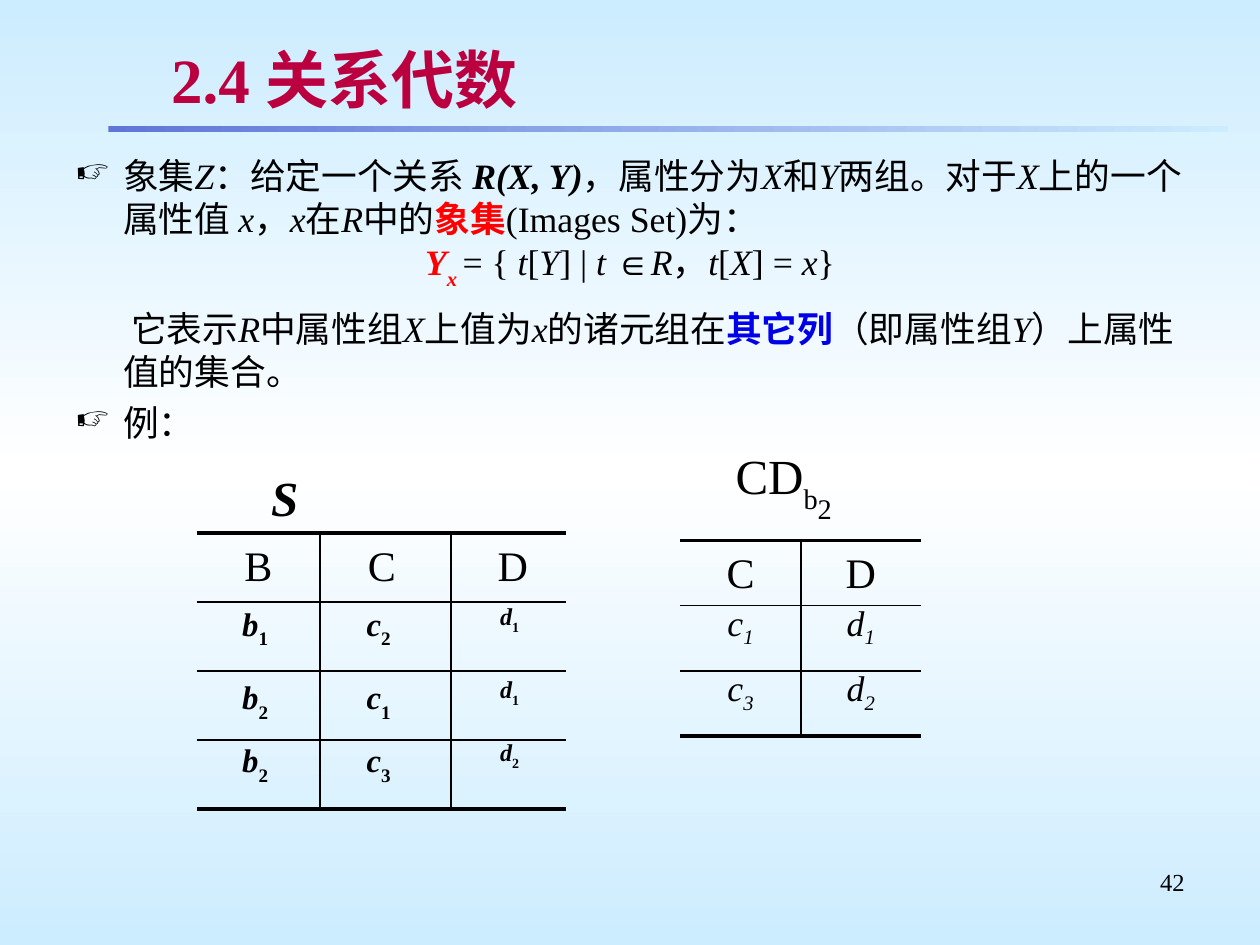
from collections import namedtuple
from itertools import accumulate

from lxml.etree import SubElement
from pptx import Presentation
from pptx.dml.color import RGBColor
from pptx.enum.shapes import MSO_CONNECTOR, MSO_SHAPE
from pptx.enum.text import MSO_ANCHOR, PP_ALIGN
from pptx.oxml.ns import qn
from pptx.util import Inches, Pt

COLORS = {
    "ink": "000000", "title": "BA003E", "red": "FF0000", "blue": "0000E8",
    "sky": "CCECFF", "white": "FFFFFF", "rule": "5F76D7", "shade": "808080",
}
SERIF, SANS = "Times New Roman", "Arial"
CENTER, RIGHT = PP_ALIGN.CENTER, PP_ALIGN.RIGHT

# The slide is a grid of 100 columns by 75 rows
SLIDE_W, SLIDE_H = Inches(10), Inches(7.5)
UNIT = SLIDE_W // 100
Box = namedtuple("Box", "x y w h")


def emu(*cells):
    return [round(cell * UNIT) for cell in cells]


def paint_gradient(fill, element, stops, angle):
    fill.gradient()
    fill.gradient_angle = angle
    stop_list = element.find(".//" + qn("a:gsLst"))
    for old in list(stop_list):
        stop_list.remove(old)
    for position, color in stops:
        stop = SubElement(stop_list, qn("a:gs"), pos=str(position * 1000))
        SubElement(stop, qn("a:srgbClr"), val=COLORS[color])


def add_spans(para, spans, size, color="ink"):
    """Spans are (text, marks, baseline, color); marks: b bold, i italic, s sans."""
    for text, marks, base, tint in spans:
        span = para.add_run()
        span.text = text
        font = span.font
        font.size, font.name = Pt(size), SANS if "s" in marks else SERIF
        font.bold, font.italic = "b" in marks, "i" in marks
        font.color.rgb = RGBColor.from_string(COLORS[tint or color])
        if base:
            span._r.get_or_add_rPr().set("baseline", str(base * 1000))


def mark(text, marks="", base=0, color=None):
    return text, marks, base, color


def add_text(page, box, spans, size, color="ink", align=None, anchor=MSO_ANCHOR.TOP,
             wrap=True, spacing=None):
    shape = page.shapes.add_textbox(*emu(*box))
    frame = shape.text_frame
    frame.word_wrap, frame.vertical_anchor = wrap, anchor
    para = frame.paragraphs[0]
    para.alignment = align
    if spacing:
        para.line_spacing = spacing
    add_spans(para, spans, size, color)
    return frame


def add_rule(page, x1, y1, x2, y2, width):
    line = page.shapes.add_connector(MSO_CONNECTOR.STRAIGHT, *emu(x1, y1, x2, y2))
    line.line.width = Pt(width)
    line.line.color.rgb = RGBColor.from_string(COLORS["ink"])
    SubElement(line._element.spPr, qn("a:effectLst"))


def title_region(page, box):
    # Rule below the title
    bar = page.shapes.add_shape(MSO_SHAPE.RECTANGLE, *emu(box.x - 4, 10, 88.9, 0.5))
    bar.shadow.inherit = False
    bar.line.fill.background()
    paint_gradient(bar.fill, bar._element, [(0, "rule"), (100, "sky")], 0)
    # Title with a soft text shadow
    frame = add_text(page, box, [mark("2.4 关系代数", "b")], 36, "title",
                     anchor=MSO_ANCHOR.MIDDLE)
    props = frame.paragraphs[0].runs[0]._r.get_or_add_rPr()
    effects = SubElement(props, qn("a:effectLst"))
    props.find(qn("a:solidFill")).addnext(effects)
    shadow = SubElement(effects, qn("a:outerShdw"), dist="25400", dir="2700000")
    tint = SubElement(shadow, qn("a:srgbClr"), val=COLORS["shade"])
    SubElement(tint, qn("a:alpha"), val="50000")


def add_bullet(props):
    color = SubElement(props, qn("a:buClr"))
    SubElement(color, qn("a:srgbClr"), val=COLORS["ink"])
    SubElement(props, qn("a:buSzPct"), val="95000")
    SubElement(props, qn("a:buChar"), char="☞")


def definition_region(page, box):
    italic = {name: mark(name, "i") for name in ("Z", "X", "Y", "R", "x", "t")}
    definition = [
        mark("象集"), italic["Z"], mark("：给定一个关系 "), mark("R(X, Y)", "bi"),
        mark("，属性分为"), italic["X"], mark("和"), italic["Y"], mark("两组。对于"),
        italic["X"], mark("上的一个属性值 "), italic["x"], mark("，"), italic["x"],
        mark("在"), italic["R"], mark("中的"), mark("象集", "b", color="red"),
        mark("(Images Set)为："),
    ]
    formula = [
        mark("Y", "bi", color="red"), mark("x ", "bi", -30, "red"), mark("= { "),
        italic["t"], mark("["), italic["Y"], mark("] | "), mark("t ", "i"),
        mark("∈", "s"), italic["R"], mark("，"), italic["t"], mark("["),
        italic["X"], mark("] = "), italic["x"], mark("}"),
    ]
    meaning = [
        mark("\t 它表示"), italic["R"], mark("中属性组"), italic["X"], mark("上值为"),
        italic["x"], mark("的诸元组在"), mark("其它列", "b", color="blue"),
        mark("（即属性组"), italic["Y"], mark("）上属性值的集合。"),
    ]
    # (spans, bulleted, alignment, space after)
    paragraphs = [(definition, True, None, 0), (formula, False, CENTER, 4.5),
                  (meaning, False, None, 0), ([mark("例：")], True, None, 0)]
    frame = add_text(page, box, [], 20.4)
    for number, (spans, bulleted, align, after) in enumerate(paragraphs):
        para = frame.add_paragraph() if number else frame.paragraphs[0]
        para.alignment = align
        para.line_spacing = Pt(24.6)
        para.space_before, para.space_after = Pt(4.5), Pt(after)
        props = para._p.get_or_add_pPr()
        props.set("marL", str(Inches(0.38)))
        props.set("indent", str(-Inches(0.38)))
        if bulleted:
            add_bullet(props)
        add_spans(para, spans, 20.4)


def ruled_relation(page, box, widths, heads, rows, row_tops, cell, styles):
    """Relation with heavy top and bottom rules; styles: size, spacing, marks, base."""
    edges = list(accumulate(widths, initial=box.x))
    step = box.h / (len(rows) + 1)
    # Rules
    for number in range(len(rows) + 2):
        y = box.y + number * step
        width = 2.25 if number in (0, len(rows) + 1) else 1
        add_rule(page, box.x, y, box.x + box.w, y, width)
    for x in edges[1:-1]:
        add_rule(page, x, box.y, x, box.y + box.h, 1)
    # Headings
    for x, head in zip(edges, heads):
        add_text(page, Box(x, box.y, widths[0], step), [mark(head)], 24, align=CENTER)
    # Values: a letter and its subscript
    for top, row in zip(row_tops, rows):
        for x, value, (size, spacing, marks, base) in zip(edges, row, styles):
            spans = [mark(value[0], "i" + marks[0]), mark(value[1], marks, base)]
            add_text(page, Box(x + cell.x, top, cell.w, cell.h), spans, size,
                     align=CENTER, spacing=spacing)


def examples_region(page, left, right):
    # Relation S
    add_text(page, Box(left.x + 3, left.y - 4.8, 8, 3.8), [mark("S", "bi")], 28,
             align=CENTER, anchor=MSO_ANCHOR.MIDDLE, wrap=False)
    large, small = (18.7, 0.9, "b", -30), (13.8, 0.8, "b", -30)
    ruled_relation(page, left, [9.8, 10.4, 9.1], "BCD",
                   [("b1", "c2", "d1"), ("b2", "c1", "d1"), ("b2", "c3", "d2")],
                   [47.4, 53.2, 58.2], Box(1.1, 0, 7.1, 5), [large, large, small])
    # Image set of b2
    add_text(page, Box(right.x - 0.9, right.y - 7, 18.2, 5.2),
             [mark("CD"), mark("b", base=-30), mark("2", base=-50)], 28,
             align=CENTER, anchor=MSO_ANCHOR.MIDDLE, wrap=False)
    half = right.w / 2
    ruled_relation(page, right, [half, half], "CD", [("c1", "d1"), ("c3", "d2")],
                   [47.2, 52.4], Box(0, 0, half, 5.2), [(20.4, 0.9, "i", -25)] * 2)


def main():
    deck = Presentation()
    deck.slide_width, deck.slide_height = SLIDE_W, SLIDE_H
    page = deck.slides.add_slide(deck.slide_layouts[6])
    paint_gradient(page.background.fill, page._element,
                   [(0, "sky"), (50, "white"), (100, "sky")], 270)
    title_region(page, Box(12.6, 2.9, 82.4, 6.7))
    definition_region(page, Box(5, 11.7, 90, 23.1))
    examples_region(page, Box(15.6, 42.3, 29.3, 21.9), Box(54, 42.9, 19.1, 15.5))
    # Page number
    add_text(page, Box(71.7, 68.3, 23.3, 5.2), [mark("42")], 14, align=RIGHT)
    deck.save("out.pptx")


if __name__ == "__main__":
    main()
